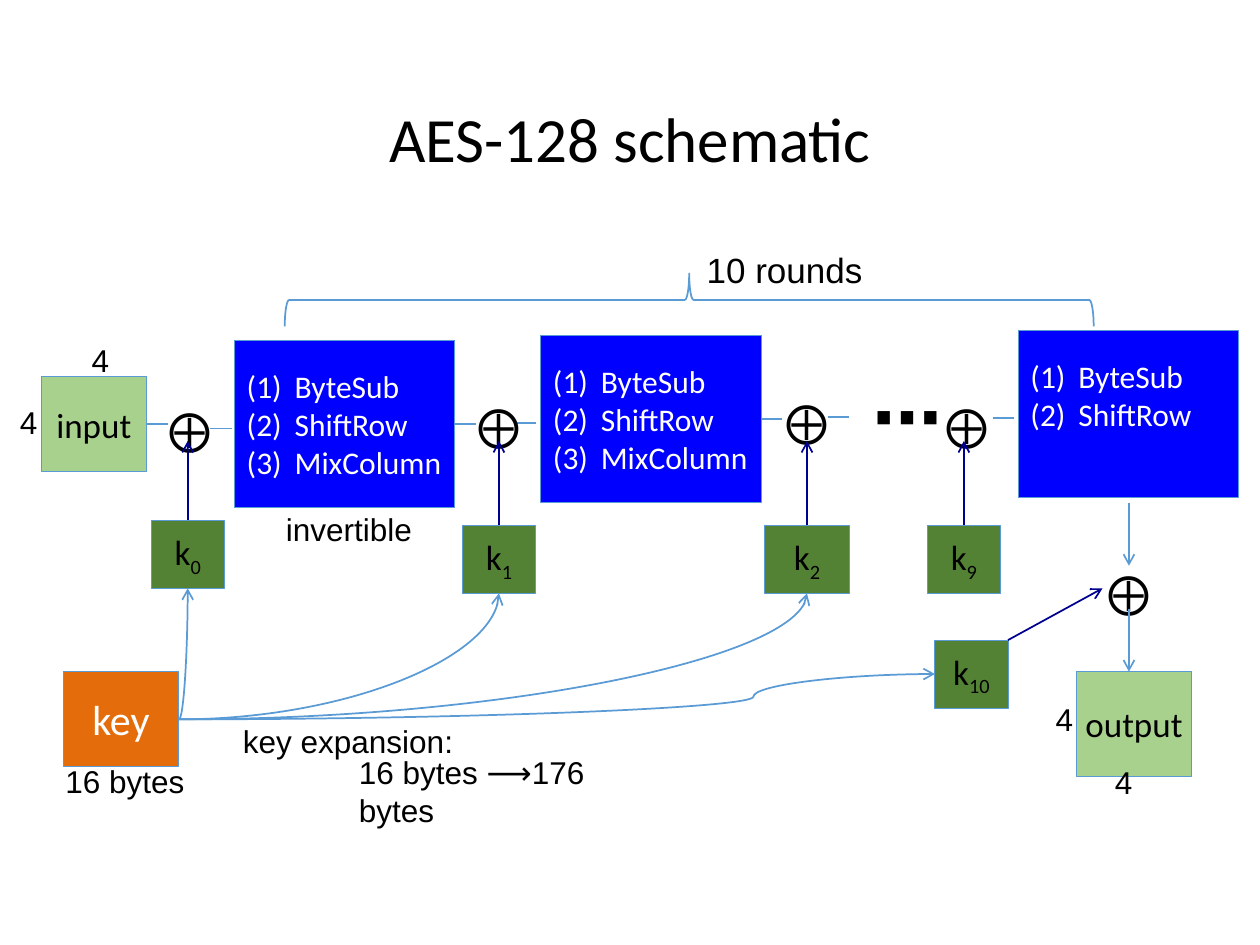
from lxml import etree
from pptx import Presentation
from pptx.dml.color import RGBColor
from pptx.enum.shapes import MSO_CONNECTOR, MSO_SHAPE
from pptx.enum.text import MSO_ANCHOR, MSO_AUTO_SIZE, PP_ALIGN
from pptx.oxml.ns import qn
from pptx.util import Inches, Pt

RECT, BRACE = MSO_SHAPE.RECTANGLE, MSO_SHAPE.RIGHT_BRACE
STRAIGHT, CURVE = MSO_CONNECTOR.STRAIGHT, MSO_CONNECTOR.CURVE
MIDDLE, CENTER, LEFT = MSO_ANCHOR.MIDDLE, PP_ALIGN.CENTER, PP_ALIGN.LEFT
NONE, GROW = MSO_AUTO_SIZE.NONE, MSO_AUTO_SIZE.SHAPE_TO_FIT_TEXT

BLACK = RGBColor(0, 0, 0)
WHITE = RGBColor(255, 255, 255)
BLUE = RGBColor(0, 0, 255)
NAVY = RGBColor(0, 0, 0x90)
SKY = RGBColor(0x5B, 0x9B, 0xD5)
LIME = RGBColor(0xA9, 0xD1, 0x8E)
GREEN = RGBColor(0x54, 0x82, 0x35)
ORANGE = RGBColor(0xE4, 0x6C, 0x0A)

TITLE = "AES-128 schematic"
STEPS = ["ByteSub", "ShiftRow", "MixColumn"]
ROUNDS = [(1.86, 2.7, 3), (4.29, 2.66, 3), (8.08, 2.62, 2)]
ROUND_W, ROUND_H, STEP_H = 1.75, 1.33, 0.3
KEYS = [
    ("0", 1.2, 4.13, 0.58),
    ("1", 3.67, 4.17, 0.58),
    ("2", 6.07, 4.17, 0.67),
    ("9", 7.36, 4.17, 0.58),
    ("10", 7.42, 5.08, 0.58),
]
KEY_H, TIP_Y = 0.54, 3.5
BLOCKS = [
    ("input", 0.33, 2.99, 0.83, 0.75, LIME, BLACK, 20),
    ("output", 8.54, 5.33, 0.92, 0.83, LIME, BLACK, 20),
    ("key", 0.5, 5.33, 0.92, 0.75, ORANGE, WHITE, 24),
]
XORS = [(1.22, 3.21), (3.67, 3.18), (6.12, 3.15), (7.39, 3.18), (8.67, 4.5)]
XOR_W, XOR_H = 0.49, 0.5
LABELS = [
    ("4", 0.63, 2.66, 0.34, 0.4, 18),
    ("4", 0.06, 3.15, 0.34, 0.4, 18),
    ("4", 8.75, 6.01, 0.34, 0.4, 18),
    ("4", 8.28, 5.51, 0.34, 0.4, 18),
    ("10 rounds", 5.51, 1.92, 1.45, 0.44, 20),
    ("16 bytes", 0.42, 6, 1.16, 0.4, 18),
    ("key expansion:", 1.83, 5.68, 1.88, 0.4, 18),
    ("invertible", 2.17, 4, 1.21, 0.4, 18),
    ("16 bytes ⟶176 bytes", 2.75, 5.93, 2.62, 0.4, 18),
]
DASH = 0.17
DASHES = [(1.67, 3.4), (4.08, 3.36), (6.57, 3.31), (7.88, 3.32)]
DROPS = [(3.99, 4.49), (4.83, 5.33)]
DROP_X = 8.96

deck = Presentation()
deck.slide_width, deck.slide_height = Inches(10), Inches(7.5)
slide = deck.slides.add_slide(deck.slide_layouts[5])
shapes = slide.shapes


def style(para, size, color, font, align=LEFT, bold=False):
    para.alignment = align
    for run in para.runs:
        run.font.size, run.font.name = Pt(size), font
        run.font.color.rgb, run.font.bold = color, bold


def box(x, y, w, h, fill, kind=RECT):
    item = shapes.add_shape(kind, *map(Inches, (x, y, w, h)))
    item.shadow.inherit = False
    item.line.color.rgb, item.line.width = SKY, Pt(0.5)
    if fill is None:
        item.fill.background()
    else:
        item.fill.solid()
        item.fill.fore_color.rgb = fill
    item.text_frame.vertical_anchor = MIDDLE
    return item


def label(text, x, y, w, h, size, bold=False):
    item = shapes.add_textbox(*map(Inches, (x, y, w, h)))
    frame = item.text_frame
    frame.text, frame.word_wrap, frame.auto_size = text, False, GROW
    style(frame.paragraphs[0], size, BLACK, "Arial", bold=bold)
    return item


def link(x1, y1, x2, y2, color=SKY, arrow=True, kind=STRAIGHT):
    item = shapes.add_connector(kind, *map(Inches, (x1, y1, x2, y2)))
    item.line.color.rgb, item.line.width = color, Pt(1)
    if arrow:
        line = item.line._get_or_add_ln()
        etree.SubElement(line, qn("a:tailEnd"), type="arrow")
    etree.SubElement(item._element.spPr, qn("a:effectLst"))
    return item


def bend(x, y, shape, share=None):
    item = link(1.42, 5.71, x, y, kind=CURVE)
    geom = item._element.spPr.find(qn("a:prstGeom"))
    geom.set("prst", shape)
    if share:
        guides = geom.find(qn("a:avLst"))
        if guides is None:
            guides = etree.SubElement(geom, qn("a:avLst"))
        etree.SubElement(guides, qn("a:gd"), name="adj1",
                         fmla=f"val {round(share * 100000)}")


def stage(x, y, count):
    item = box(x, y, ROUND_W, ROUND_H, BLUE)
    frame = item.text_frame
    frame.margin_right = 0
    frame.margin_bottom = Inches(0.05 + STEP_H * (len(STEPS) - count))
    frame.text = "\n".join(STEPS[:count])
    for para in frame.paragraphs:
        style(para, 18, WHITE, "Calibri")
        props = para._p.get_or_add_pPr()
        props.set("marL", str(Inches(0.38)))
        props.set("indent", str(-Inches(0.38)))
        etree.SubElement(props, qn("a:buFont"), typeface="+mj-lt")
        etree.SubElement(props, qn("a:buAutoNum"), type="arabicParenBoth")
    return item


def subkey(index, x, y, w):
    item = box(x, y, w, KEY_H, GREEN)
    para = item.text_frame.paragraphs[0]
    para.add_run().text = "k"
    low = para.add_run()
    low.text = index
    style(para, 20, BLACK, "Calibri", CENTER)
    low.font._element.set("baseline", "-25000")
    return item


title = shapes.title
title.left, title.top, title.width, title.height = map(Inches, (0.69, 0.4, 8.62, 1.45))
title.text_frame.text = TITLE
title.text_frame.vertical_anchor, title.text_frame.auto_size = MIDDLE, NONE
head = title.text_frame.paragraphs[0]
head.line_spacing, head.space_before = 0.9, Pt(7.5)
style(head, 36, BLACK, "Calibri", CENTER)

brace = box(5.26, -0.83, 0.42, 6.42, None, BRACE)
brace.rotation = 270
brace.line.width = Pt(1)

blocks = []
for text, x, y, w, h, fill, color, size in BLOCKS:
    block = box(x, y, w, h, fill)
    block.text_frame.text = text
    block.text_frame.margin_left = block.text_frame.margin_right = 0
    style(block.text_frame.paragraphs[0], size, color, "Calibri", CENTER)
    blocks.append(block)

stages = [stage(*spec) for spec in ROUNDS]
for source in (blocks[0], *stages[:2]):
    x = (source.left + source.width) / Inches(1)
    y = (source.top + source.height / 2) / Inches(1)
    link(x, y, x + DASH, y, arrow=False).begin_connect(source, 3)
for x, y in DASHES:
    link(x, y, x + DASH, y, arrow=False)

for x, y in XORS:
    label("⨁", x, y, XOR_W, XOR_H, 24).rotation = 270
label("⋯", 6.83, 2.91, 0.67, 0.77, 40, True)

for index, x, y, w in KEYS:
    cell = subkey(index, x, y, w)
    if index != "10":
        link(x + w / 2, y, x + w / 2, TIP_Y, NAVY).begin_connect(cell, 0)
link(8, 5.08, 8.75, 4.67, NAVY)
for top, end in DROPS:
    link(DROP_X, top, DROP_X, end)

for index, x, y, w in KEYS[:3]:
    bend(x + w / 2, y + KEY_H, "curvedConnector2")
bend(7.42, 5.35, "curvedConnector3", 0.76)

for spec in LABELS:
    label(*spec)

deck.save("out.pptx")
